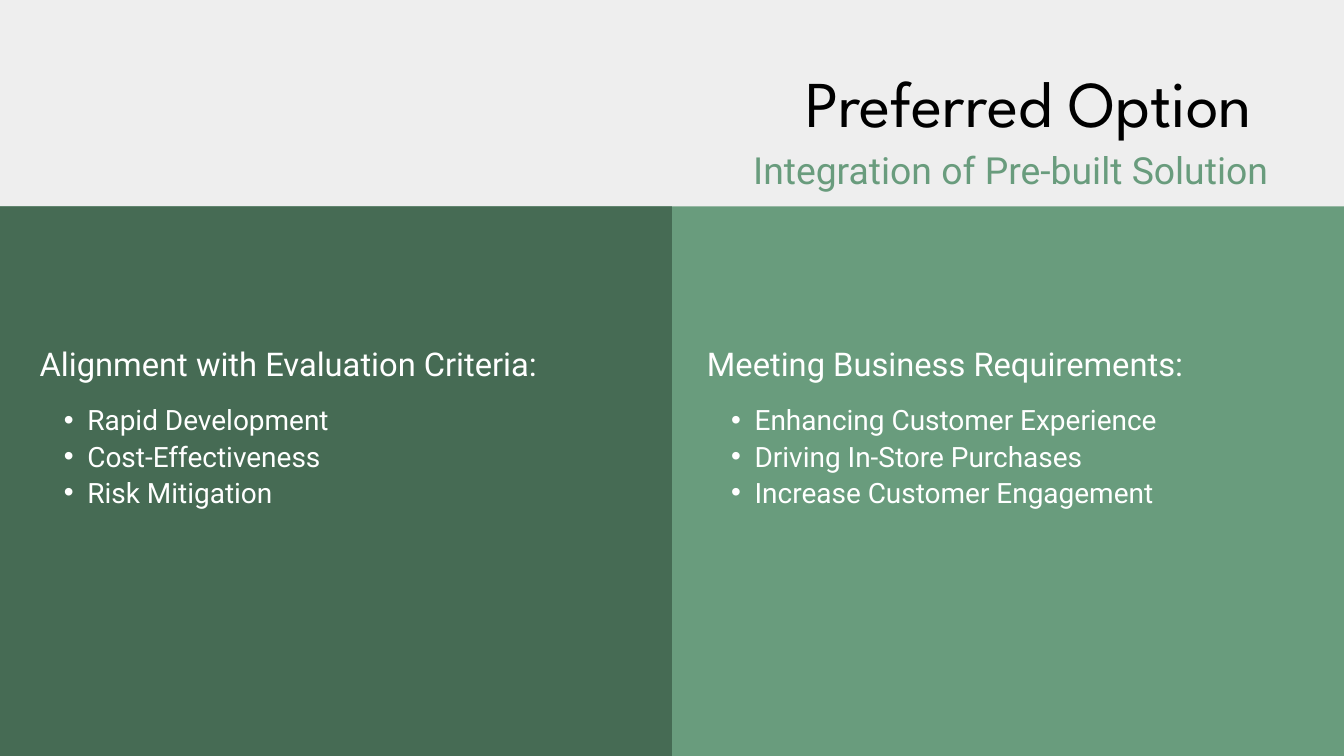
from lxml import etree
from pptx import Presentation
from pptx.dml.color import RGBColor
from pptx.enum.shapes import MSO_SHAPE
from pptx.enum.text import MSO_ANCHOR, MSO_AUTO_SIZE, PP_ALIGN
from pptx.oxml.ns import qn
from pptx.util import Inches, Pt

COLORS = {
    "light_green": "699C7D",
    "dark_green": "466B54",
    "header": "EEEEEE",
    "title": "000000",
    "white": "FFFFFF",
}
COLUMNS = [
    (0.59, "Alignment with Evaluation Criteria:",
     ["Rapid Development", "Cost-Effectiveness", "Risk Mitigation"]),
    (10.52, "Meeting Business Requirements:",
     ["Enhancing Customer Experience", "Driving In-Store Purchases",
      "Increase Customer Engagement"]),
]


def add_panel(slide, left, top, width, height, color):
    panel = slide.shapes.add_shape(
        MSO_SHAPE.RECTANGLE, Inches(left), Inches(top), Inches(width), Inches(height))
    panel.shadow.inherit = False
    panel.fill.solid()
    panel.fill.fore_color.rgb = RGBColor.from_string(COLORS[color])
    panel.line.fill.background()
    return panel


def write_text(shape, lines, size, spacing, color, font="Roboto",
               align=PP_ALIGN.LEFT, bulleted=False):
    """Fill a shape without margins, one paragraph per line."""
    frame = shape.text_frame
    frame.word_wrap = True
    frame.auto_size = MSO_AUTO_SIZE.SHAPE_TO_FIT_TEXT
    frame.vertical_anchor = MSO_ANCHOR.TOP
    frame.margin_left = frame.margin_right = frame.margin_top = frame.margin_bottom = 0
    for index, line in enumerate(lines):
        paragraph = frame.add_paragraph() if index else frame.paragraphs[0]
        if bulleted:
            paragraph.level = 1
            properties = paragraph._p.get_or_add_pPr()
            properties.set("marL", str(Inches(0.71)))
            properties.set("indent", str(Inches(-0.35)))
            etree.SubElement(properties, qn("a:buFont")).set("typeface", "Arial")
            etree.SubElement(properties, qn("a:buChar")).set("char", "•")
        paragraph.alignment = align
        paragraph.line_spacing = Pt(spacing)
        paragraph.space_before = Pt(0)
        run = paragraph.add_run()
        run.text = line
        run.font.name = font
        run.font.size = Pt(size)
        run.font.color.rgb = RGBColor.from_string(COLORS[color])


presentation = Presentation()
presentation.slide_width = Inches(20)
presentation.slide_height = Inches(11.25)
slide = presentation.slides.add_slide(presentation.slide_layouts[5])
slide.background.fill.solid()
slide.background.fill.fore_color.rgb = RGBColor.from_string(COLORS["light_green"])

# Header
header = add_panel(slide, 0, 0, 20, 3.07, "header")
subtitle = slide.shapes.add_textbox(Inches(10.74), Inches(2.13), Inches(8.13), Inches(0.7))
write_text(subtitle, ["Integration of Pre-built Solution"], 40, 52, "light_green",
           align=PP_ALIGN.RIGHT)
title = slide.shapes.title
title.left, title.top = Inches(9.06), Inches(0.93)
title.width, title.height = Inches(9.81), Inches(1.16)
write_text(title, ["Preferred Option "], 70, 84, "title", font="League Spartan",
           align=PP_ALIGN.RIGHT)
subtitle.element.addnext(title.element)  # bring the title in front of the header

# Two columns
add_panel(slide, 0, 3.07, 10, 8.18, "dark_green")
for left, heading, points in COLUMNS:
    column = slide.shapes.add_group_shape()
    heading_box = column.shapes.add_textbox(
        Inches(left), Inches(5.12), Inches(8.12), Inches(0.59))
    write_text(heading_box, [heading], 35, 42, "white")
    points_box = column.shapes.add_textbox(
        Inches(left), Inches(5.95), Inches(7.83), Inches(1.61))
    write_text(points_box, points, 30, 39, "white", bulleted=True)

presentation.save("out.pptx")
